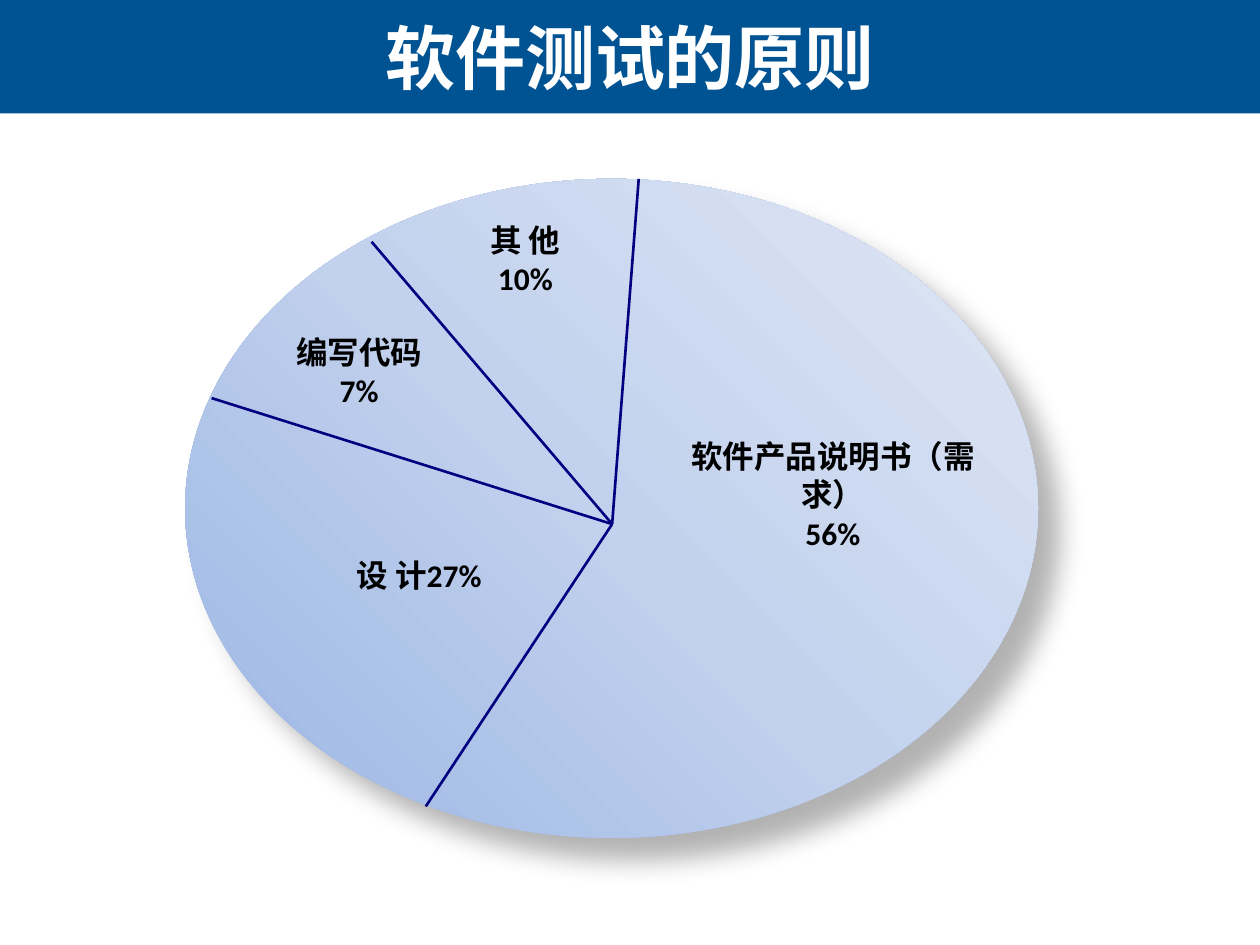
from lxml import etree
from pptx import Presentation
from pptx.dml.color import RGBColor
from pptx.enum.shapes import MSO_CONNECTOR, MSO_SHAPE
from pptx.enum.text import MSO_ANCHOR, PP_ALIGN
from pptx.oxml import parse_xml
from pptx.oxml.ns import nsdecls, qn
from pptx.util import Pt

BAND_BLUE = RGBColor(0x00, 0x53, 0x92)
WHITE = RGBColor(0xFF, 0xFF, 0xFF)
BLACK = RGBColor(0x00, 0x00, 0x00)
NAVY = RGBColor(0x00, 0x00, 0x80)
GRADIENT = [
    (0, RGBColor(0x9A, 0xB5, 0xE4)),
    (50, RGBColor(0xC2, 0xD1, 0xED)),
    (100, RGBColor(0xE1, 0xE8, 0xF5)),
]
CJK_FONT = "Noto Sans CJK SC"
LATIN_FONT = "Calibri"

# Offsets from the top left corner of the pie, in points
HUB = (244, 197.3)
SPOKE_ENDS = [(259.2, 0), (137.5, 358.6), (15.1, 125.3), (106.6, 36)]
LABELS = [
    (["其 他", "10%"], (156.3, 23.5, 76.3, 49.3)),
    (["软件产品说明书（需求）", "56%"], (274.4, 146.9, 191.5, 125)),
    (["编写代码", "7%"], (31, 87.6, 136.8, 68)),
    (["设 计27%"], (76.4, 215.3, 114.5, 71)),
]


def write(shape, lines, *, size, color, font, anchor=MSO_ANCHOR.TOP, line_spacing=None):
    """Fill a shape with bold centred lines, without inner margins."""
    frame = shape.text_frame
    frame.word_wrap = True
    frame.vertical_anchor = anchor
    frame.margin_left = frame.margin_right = frame.margin_top = frame.margin_bottom = 0
    for index, line in enumerate(lines):
        para = frame.paragraphs[0] if index == 0 else frame.add_paragraph()
        para.alignment = PP_ALIGN.CENTER
        if line_spacing:
            para.line_spacing = Pt(line_spacing)
        span = para.add_run()
        span.text = line
        span.font.size = Pt(size)
        span.font.bold = True
        span.font.color.rgb = color
        span.font.name = font
        east_asian = etree.Element(qn("a:ea"), typeface=CJK_FONT)
        span.font._element.find(qn("a:latin")).addnext(east_asian)


def add_header(page, left, top, width, height):
    box = [Pt(value) for value in (left, top, width, height)]
    band = page.shapes.add_shape(MSO_SHAPE.RECTANGLE, *box)
    band.shadow.inherit = False
    band.fill.solid()
    band.fill.fore_color.rgb = BAND_BLUE
    band.line.fill.background()

    title = page.shapes.title
    title._element.addprevious(band._element)
    title.left, title.top, title.width, title.height = box
    write(title, ["软件测试的原则"], size=40, color=WHITE, font=CJK_FONT,
          anchor=MSO_ANCHOR.MIDDLE)


def add_disc(group, left, top, width, height):
    disc = group.shapes.add_shape(
        MSO_SHAPE.OVAL, Pt(left), Pt(top), Pt(width), Pt(height))
    disc.line.fill.background()
    stops = "".join(
        f'<a:gs pos="{position * 1000}"><a:srgbClr val="{color}"/></a:gs>'
        for position, color in GRADIENT)
    gradient = parse_xml(
        f'<a:gradFill {nsdecls("a")} rotWithShape="1"><a:gsLst>{stops}</a:gsLst>'
        '<a:lin ang="18900000" scaled="0"/></a:gradFill>')
    shadow = parse_xml(
        f'<a:effectLst {nsdecls("a")}><a:outerShdw blurRad="{Pt(15)}" dist="{Pt(18)}" '
        'dir="2700000" algn="tl" rotWithShape="0"><a:srgbClr val="000000">'
        '<a:alpha val="30000"/></a:srgbClr></a:outerShdw></a:effectLst>')
    outline = disc._element.spPr.find(qn("a:ln"))
    outline.addprevious(gradient)
    outline.addnext(shadow)


def add_pie(page, left, top, width, height):
    group = page.shapes.add_group_shape()
    add_disc(group, left, top, width, height)

    for x, y in SPOKE_ENDS:
        spoke = group.shapes.add_connector(
            MSO_CONNECTOR.STRAIGHT,
            Pt(left + HUB[0]), Pt(top + HUB[1]), Pt(left + x), Pt(top + y))
        spoke.line.color.rgb = NAVY
        spoke.line.width = Pt(1.5)
        etree.SubElement(spoke._element.spPr, qn("a:effectLst"))

    for lines, (x, y, label_width, label_height) in LABELS:
        label = group.shapes.add_textbox(
            Pt(left + x), Pt(top + y), Pt(label_width), Pt(label_height))
        write(label, lines, size=18, color=BLACK, font=LATIN_FONT, line_spacing=22)


def main():
    deck = Presentation()
    deck.slide_width, deck.slide_height = Pt(720), Pt(540)
    page = deck.slides.add_slide(deck.slide_layouts[5])
    page.background.fill.solid()
    page.background.fill.fore_color.rgb = WHITE
    add_header(page, 0, 0, 720, 64.8)
    add_pie(page, 105.8, 102.2, 487.4, 376.6)
    deck.save("out.pptx")


if __name__ == "__main__":
    main()
